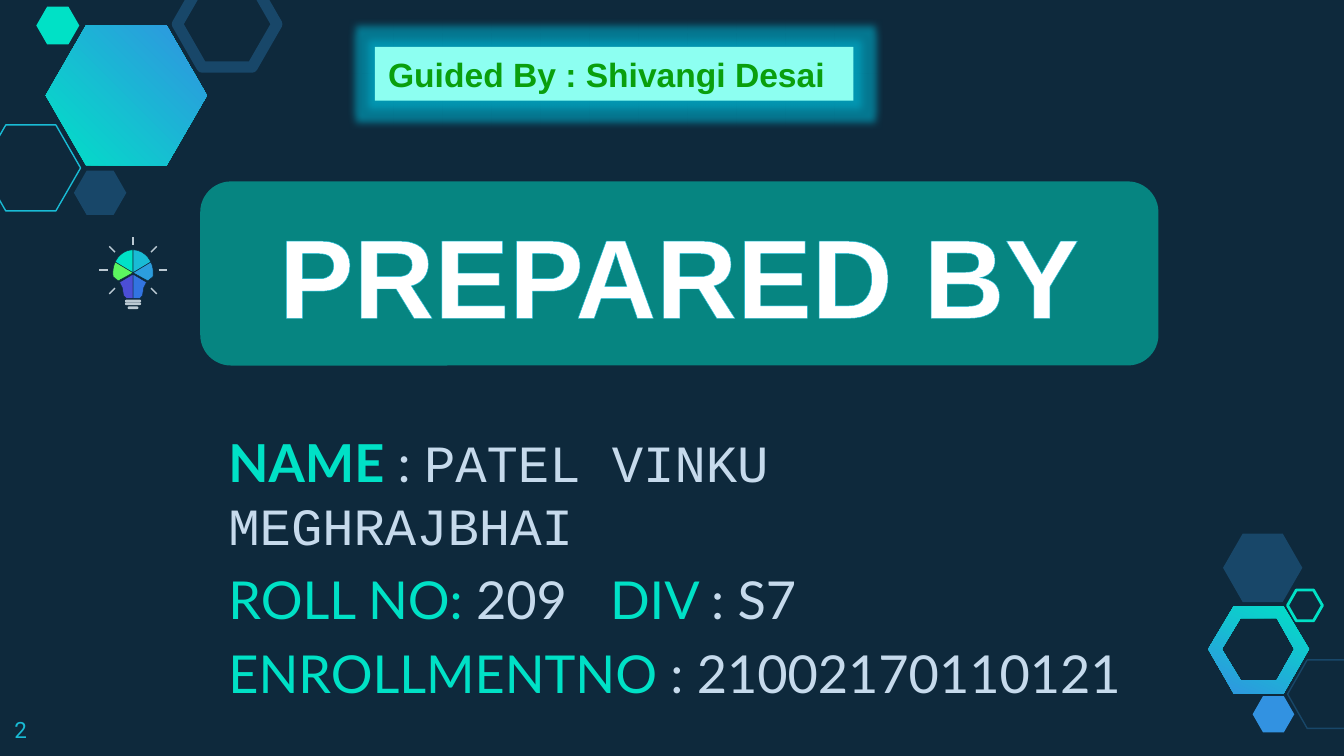
"""Build the "Prepared by" slide with its hexagon decoration and light bulb."""
from math import cos, radians, sin

from lxml.etree import SubElement
from pptx import Presentation
from pptx.dml.color import RGBColor
from pptx.enum.shapes import MSO_CONNECTOR, MSO_SHAPE
from pptx.enum.text import MSO_ANCHOR, MSO_AUTO_SIZE, PP_ALIGN
from pptx.oxml import parse_xml
from pptx.oxml.ns import nsdecls, qn
from pptx.util import Inches, Pt

COLOURS = {
    "night": "0E293C", "navy": "184769", "teal": "00E1C6", "cyan": "19BBD5",
    "blue": "3292E1", "sky": "2C9DDE", "royal": "3274E1", "violet": "4C4ED5",
    "lime": "5CF55F", "silver": "BBC9D3", "mist": "C6DAEC", "white": "FFFFFF",
    "mint": "8DFFF1", "green": "0A9F0D", "glow": "00ABC8",
}
RGB = {name: RGBColor.from_string(value) for name, value in COLOURS.items()}


def add_outline(shapes, *contours):
    """Draw closed contours, given in inches, as one freeform."""
    contours = [[(Inches(x), Inches(y)) for x, y in contour] for contour in contours]
    builder = shapes.build_freeform(*contours[0][0], scale=1.0)
    for contour in contours:
        if contour is not contours[0]:
            builder.move_to(*contour[0])
        builder.add_line_segments(contour[1:], close=True)
    outline = builder.convert_to_shape()
    outline.shadow.inherit = False
    return outline


def add_run(paragraph, text, colour, **formats):
    """Append a run with a colour and font attributes."""
    run = paragraph.add_run()
    run.text = text
    run.font.color.rgb = RGB[colour]
    for attribute, value in formats.items():
        setattr(run.font, attribute, value)
    return run


deck = Presentation()
deck.slide_width, deck.slide_height = Inches(10), Inches(10) * 9 // 16
slide = deck.slides.add_slide(deck.slide_layouts[1])
slide.background.fill.solid()
slide.background.fill.fore_color.rgb = RGB["night"]
unused_title = slide.shapes.title.element
unused_title.getparent().remove(unused_title)

ring = add_outline(
    slide.shapes,
    [(9.18, 5.16), (8.99, 4.83), (9.18, 4.51), (9.55, 4.51), (9.74, 4.83), (9.55, 5.16)],
    [(9.23, 5.06), (9.5, 5.06), (9.63, 4.83), (9.5, 4.6), (9.23, 4.6), (9.09, 4.83)],
)
large_hexagon = add_outline(
    slide.shapes,
    [(1.54, 0.71), (1.24, 1.23), (0.64, 1.23), (0.34, 0.71), (0.64, 0.19), (1.24, 0.19)],
)
for hexagon, angle in ((ring, 244), (large_hexagon, 45)):
    hexagon.line.fill.background()
    hexagon.fill.gradient()
    hexagon.fill.gradient_angle = angle
    for stop, colour, position in zip(hexagon.fill.gradient_stops, ("teal", "blue"), (0, 1)):
        stop.color.rgb = RGB[colour]
        stop.position = position

for left, top, width, height, colour, line_width in (
    (-0.14, 0.93, 0.74, 0.64, "cyan", 0.75),
    (0.55, 1.27, 0.39, 0.33, "navy", None),
    (1.32, -0.14, 0.74, 0.64, "navy", 6),
    (0.27, 0.05, 0.32, 0.28, "teal", None),
    (9.58, 4.91, 0.59, 0.51, "navy", 0.75),
    (9.32, 5.18, 0.31, 0.27, "blue", None),
    (9.1, 3.97, 0.59, 0.51, "navy", None),
    (9.58, 4.39, 0.26, 0.23, "teal", 1.5),
):
    hexagon = slide.shapes.add_shape(
        MSO_SHAPE.HEXAGON, Inches(left), Inches(top), Inches(width), Inches(height))
    hexagon.adjustments[0] = 0.287
    hexagon.shadow.inherit = False
    if line_width:
        hexagon.fill.background()
        hexagon.line.color.rgb = RGB[colour]
        hexagon.line.width = Pt(line_width)
    else:
        hexagon.fill.solid()
        hexagon.fill.fore_color.rgb = RGB[colour]
        hexagon.line.fill.background()

details = slide.placeholders[1]
details.left, details.top = Inches(1.6), Inches(3.1)
details.width, details.height = Inches(6.93), Inches(1.48)
details_frame = details.text_frame
number = slide.shapes.add_textbox(Inches(0.01), Inches(5.23), Inches(0.6), Inches(0.39))
number.text_frame.word_wrap = True
for frame in (details_frame, number.text_frame):
    frame.auto_size = MSO_AUTO_SIZE.NONE
    for side in ("left", "top", "right", "bottom"):
        setattr(frame, f"margin_{side}", Inches(0.1))
add_run(number.text_frame.paragraphs[0], "2", "cyan", name="Roboto", size=Pt(12))

for index, entry in enumerate((
    (("NAME", "teal", "Lato", True), (" : ", "mist", "Lato", False),
     ("PATEL VINKU MEGHRAJBHAI", "mist", "Courier New", False)),
    (("ROLL NO: ", "teal", "Lato", False), ("209", "mist", "Lato", False),
     (" ", "mist", "Lato", False), ("DIV ", "teal", "Lato", False),
     (": S7", "mist", "Lato", False)),
    (("ENROLLMENTNO", "teal", "Lato", False),
     (" : 21002170110121", "mist", "Lato", False)),
)):
    paragraph = details_frame.add_paragraph() if index else details_frame.paragraphs[0]
    paragraph.space_before = Pt(6)
    properties = paragraph._p.get_or_add_pPr()
    properties.set("marL", "0")
    properties.set("indent", "0")
    SubElement(properties, qn("a:buNone"))
    for text, colour, font, bold in entry:
        run = add_run(paragraph, text, colour, name=font, size=Pt(28), bold=bold)
        if text == " ":
            run._r.get_or_add_rPr().set("spc", "1600")

panel = slide.shapes.add_shape(
    MSO_SHAPE.ROUNDED_RECTANGLE, Inches(1.49), Inches(1.35), Inches(7.13), Inches(1.37))
banner = slide.shapes.add_shape(
    MSO_SHAPE.RECTANGLE, Inches(2.79), Inches(0.35), Inches(3.56), Inches(0.4))
for box, fill, anchor, alignment, text, colour, size in (
    (panel, "teal", MSO_ANCHOR.MIDDLE, PP_ALIGN.CENTER, "PREPARED BY", "white", 60),
    (banner, "mint", MSO_ANCHOR.TOP, PP_ALIGN.LEFT, "Guided By : Shivangi Desai", "green", 18),
):
    box.shadow.inherit = False
    box.fill.solid()
    box.fill.fore_color.rgb = RGB[fill]
    box.line.fill.background()
    box.text_frame.word_wrap = True
    box.text_frame.vertical_anchor = anchor
    box.text_frame.paragraphs[0].alignment = alignment
    add_run(box.text_frame.paragraphs[0], text, colour, name="Arial", size=Pt(size), bold=True)

panel_colour = panel.element.spPr.find(qn("a:solidFill")).find(qn("a:srgbClr"))
SubElement(panel_colour, qn("a:alpha"), val="50000")
heading_run = panel.text_frame.paragraphs[0].runs[0]
heading_run._r.get_or_add_rPr().insert(0, parse_xml(
    f'<a:ln {nsdecls("a")} w="6600"><a:solidFill>'
    f'<a:srgbClr val="{COLOURS["cyan"]}"/></a:solidFill></a:ln>'))
glow = SubElement(banner.element.spPr.find(qn("a:effectLst")), qn("a:glow"), rad=str(Pt(8)))
glow_colour = SubElement(glow, qn("a:srgbClr"), val=COLOURS["glow"])
SubElement(glow_colour, qn("a:alpha"), val="60000")

bulb = slide.shapes.add_group_shape().shapes
centre_x, centre_y, ray_y = 0.99, 2.03, 2.01
for angle in range(-45, 226, 45):
    x, y = cos(radians(angle)), -sin(radians(angle))
    ray = bulb.add_connector(
        MSO_CONNECTOR.STRAIGHT,
        Inches(centre_x + 0.19 * x), Inches(ray_y + 0.19 * y),
        Inches(centre_x + 0.25 * x), Inches(ray_y + 0.25 * y))
    ray.line.color.rgb = RGB["silver"]
    ray.line.width = Pt(0.75)
    SubElement(ray.element.spPr, qn("a:effectLst"))

for left, top, width in ((0.93, 2.23, 0.12), (0.93, 2.25, 0.12), (0.95, 2.28, 0.08)):
    cap = bulb.add_shape(
        MSO_SHAPE.ROUNDED_RECTANGLE, Inches(left), Inches(top), Inches(width), Inches(0.02))
    cap.adjustments[0] = 0.5
    cap.shadow.inherit = False
    cap.fill.solid()
    cap.fill.fore_color.rgb = RGB["silver"]
    cap.line.fill.background()

glass = []
for side, crown, flank, neck in ((-1, "teal", "lime", "violet"), (1, "cyan", "sky", "royal")):
    for start, end, corner, colour in ((90, 28, [], crown), (28, -10, [(0.11, 2.09)], flank)):
        angles = [radians(start + (end - start) * step / 8) for step in range(9)]
        arc = [(0.15 * cos(a), centre_y - 0.17 * sin(a)) for a in angles]
        glass.append((side, [(0, centre_y), *arc, *corner], colour))
    glass.append((side, [(0, 2.04), (0.1, 2.1), (0.08, 2.14), (0.07, 2.2),
                         (0.05, 2.22), (0, 2.22)], neck))
for side, points, colour in glass:
    pane = add_outline(bulb, [(centre_x + side * x, y) for x, y in points])
    pane.fill.solid()
    pane.fill.fore_color.rgb = RGB[colour]
    pane.line.color.rgb = RGB["night"]
    pane.line.width = Pt(0.25)

deck.save("out.pptx")
